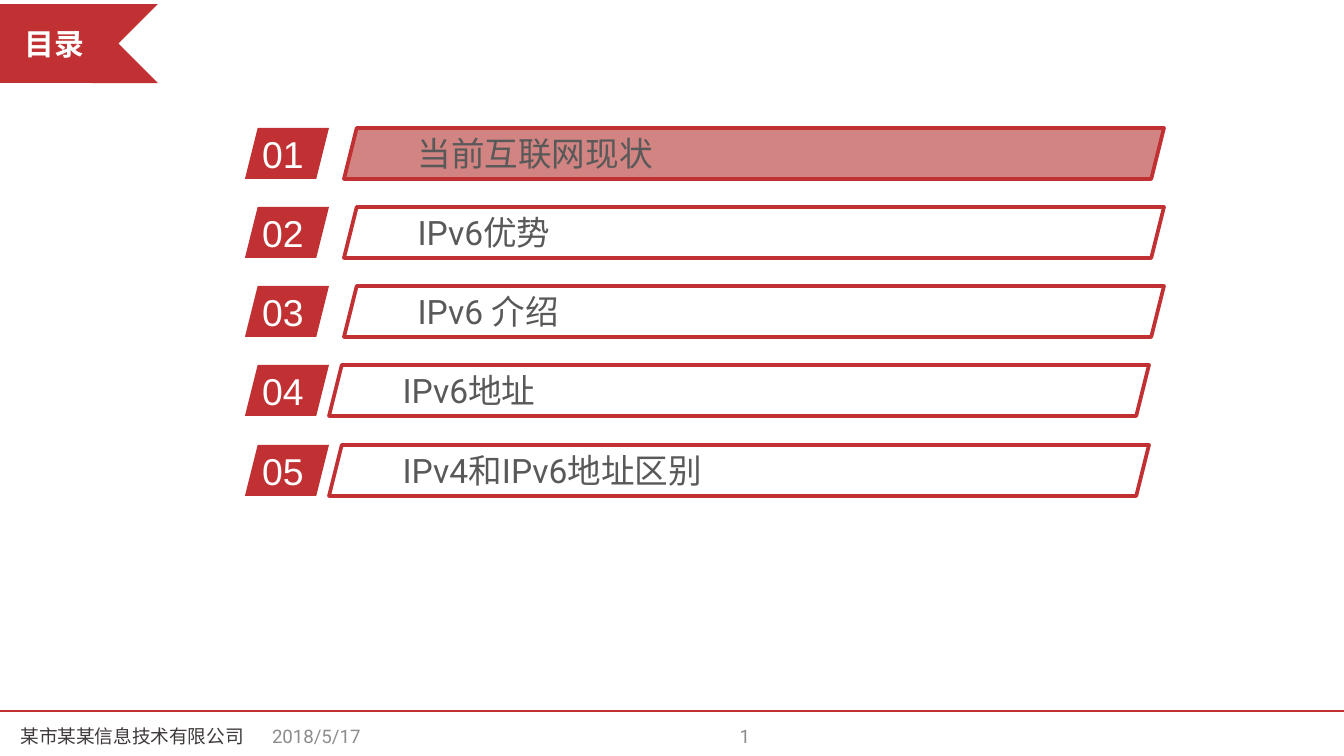
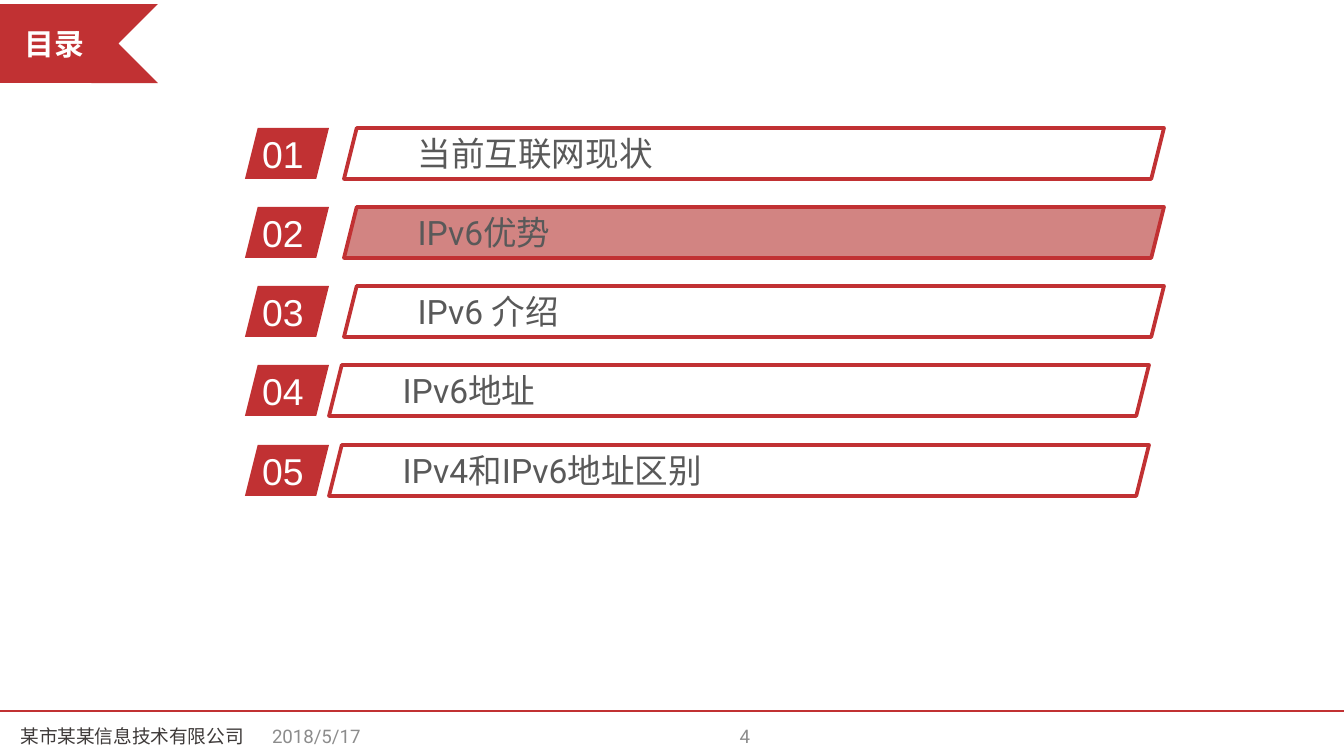
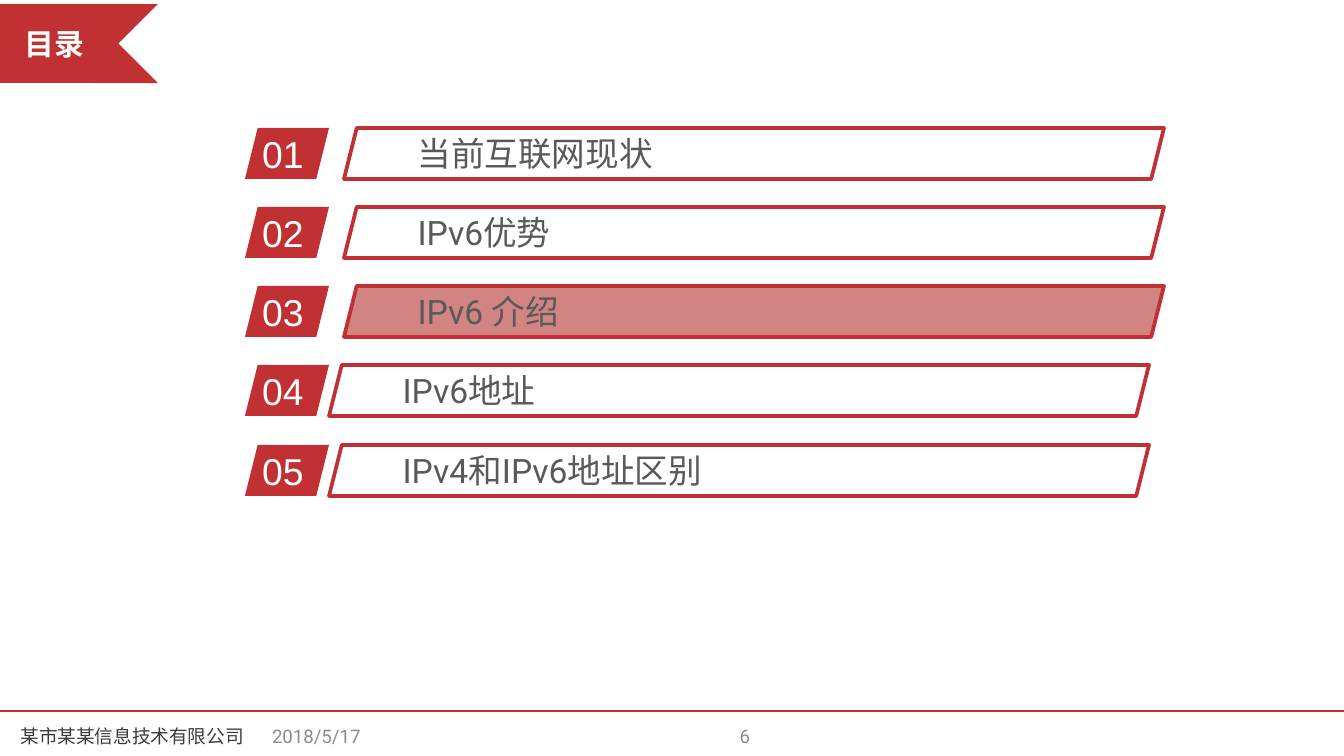
from lxml import etree
from pptx import Presentation
from pptx.dml.color import RGBColor
from pptx.enum.shapes import MSO_CONNECTOR, MSO_SHAPE
from pptx.enum.text import MSO_ANCHOR, PP_ALIGN
from pptx.oxml.ns import qn
from pptx.util import Emu, Pt

STRAIGHT = MSO_CONNECTOR.STRAIGHT
CHEVRON = MSO_SHAPE.CHEVRON
PARALLELOGRAM = MSO_SHAPE.PARALLELOGRAM
RECTANGLE = MSO_SHAPE.RECTANGLE
TOP, MIDDLE = MSO_ANCHOR.TOP, MSO_ANCHOR.MIDDLE
LEFT, CENTER, RIGHT = PP_ALIGN.LEFT, PP_ALIGN.CENTER, PP_ALIGN.RIGHT

PX_PER_INCH = 134.4
SLIDE_WIDTH, SLIDE_HEIGHT = 1344, 756

RED = "C13133"
HIGHLIGHT = "C0504D"
WHITE = "FFFFFF"
BAR_TEXT = "595959"
COMPANY_TEXT = "3E3A39"
FOOTER_TEXT = "8C8C8C"
HEADING_FONT, BODY_FONT = "Arial", "Roboto"

TITLE = "目录"
COMPANY = "某市某某信息技术有限公司"
DATE = "2018/5/17"
# Each topic with the left edge of its bar
TOPICS = [
    ("当前互联网现状", 344),
    ("IPv6优势", 344),
    ("IPv6 介绍", 344),
    ("IPv6地址", 329),
    ("IPv4和IPv6地址区别", 329),
]
PAGE_NUMBERS = [1, 4, 6]

FIRST_ROW_TOP = 128
FIRST_TO_LAST_ROW = 317
ROW_HEIGHT = 51
FOOTER_LINE_Y = 711
FOOTER_TOP, FOOTER_HEIGHT = 716, 40


def px(length):
    return Emu(round(length * 914400 / PX_PER_INCH))


def color(hex_string):
    return RGBColor.from_string(hex_string)


def add_filled_shape(slide, kind, left, top, width, height, fill, opacity=100):
    shape = slide.shapes.add_shape(kind, px(left), px(top), px(width), px(height))
    shape.shadow.inherit = False
    shape.fill.solid()
    shape.fill.fore_color.rgb = color(fill)
    if opacity < 100:
        fill_color = shape.element.spPr.find(qn("a:solidFill")).find(qn("a:srgbClr"))
        etree.SubElement(fill_color, qn("a:alpha"), val=str(opacity * 1000))
    shape.line.fill.background()
    return shape


def write_text(shape, text, size, font_name, font_color, align=LEFT, anchor=MIDDLE,
               margins=(13, 7), bold=False):
    """Fill the shape with one paragraph; margins are (sides, top and bottom)."""
    frame = shape.text_frame
    frame.word_wrap = True
    frame.vertical_anchor = anchor
    frame.margin_left = frame.margin_right = px(margins[0])
    frame.margin_top = frame.margin_bottom = px(margins[1])
    paragraph = frame.paragraphs[0]
    paragraph.text = text
    paragraph.alignment = align
    paragraph.font.size = Pt(size)
    paragraph.font.name = font_name
    paragraph.font.bold = bold
    paragraph.font.color.rgb = color(font_color)
    return paragraph


def add_text(slide, left, top, width, height, text, *style, **options):
    box = slide.shapes.add_textbox(px(left), px(top), px(width), px(height))
    return write_text(box, text, *style, **options)


def add_title_ribbon(slide):
    tail = add_filled_shape(slide, CHEVRON, 52, 4, 106, 79, RED)
    tail.element.spPr.get_or_add_xfrm().set("flipH", "1")
    label = add_filled_shape(slide, RECTANGLE, 0, 4, 109, 79, RED)
    write_text(label, TITLE, 16, HEADING_FONT, WHITE, CENTER, margins=(13, 22), bold=True)


def add_footer(slide, page_number):
    line = slide.shapes.add_connector(
        STRAIGHT, 0, px(FOOTER_LINE_Y), px(SLIDE_WIDTH), px(FOOTER_LINE_Y))
    line.line.color.rgb = color(RED)
    line.line.width = Pt(0.75)
    etree.SubElement(line.element.spPr, qn("a:effectLst"))
    for left, width, text, text_color, align in [
        (259, 313, DATE, FOOTER_TEXT, LEFT),
        (-112, 488, COMPANY, COMPANY_TEXT, CENTER),
        (450, 313, str(page_number), FOOTER_TEXT, RIGHT),
    ]:
        add_text(slide, left, FOOTER_TOP, width, FOOTER_HEIGHT, text,
                 10, BODY_FONT, text_color, align)


def add_topic_row(slide, index, topic, bar_left, is_current):
    top = FIRST_ROW_TOP + FIRST_TO_LAST_ROW * index // (len(TOPICS) - 1)
    add_filled_shape(slide, PARALLELOGRAM, 245, top, 84, ROW_HEIGHT, RED)
    number = add_text(slide, 249, top - 4, 117, 47, f"{index + 1:02}",
                      20, HEADING_FONT, WHITE, anchor=TOP)
    number.space_before = Pt(2)

    bar = add_filled_shape(slide, PARALLELOGRAM, bar_left, top, 820, ROW_HEIGHT,
                           HIGHLIGHT if is_current else WHITE, opacity=70)
    bar.line.color.rgb = color(RED)
    bar.line.width = Pt(2)
    write_text(bar, topic, 18, BODY_FONT, BAR_TEXT, margins=(0, 7))


def add_agenda_slide(presentation, current, page_number):
    blank_layout = presentation.slide_layouts[6]
    slide = presentation.slides.add_slide(blank_layout)
    add_title_ribbon(slide)
    add_footer(slide, page_number)
    for index, (topic, bar_left) in enumerate(TOPICS):
        add_topic_row(slide, index, topic, bar_left, index == current)


def main():
    presentation = Presentation()
    presentation.slide_width = px(SLIDE_WIDTH)
    presentation.slide_height = px(SLIDE_HEIGHT)
    for current, page_number in enumerate(PAGE_NUMBERS):
        add_agenda_slide(presentation, current, page_number)
    presentation.save("out.pptx")


if __name__ == "__main__":
    main()
